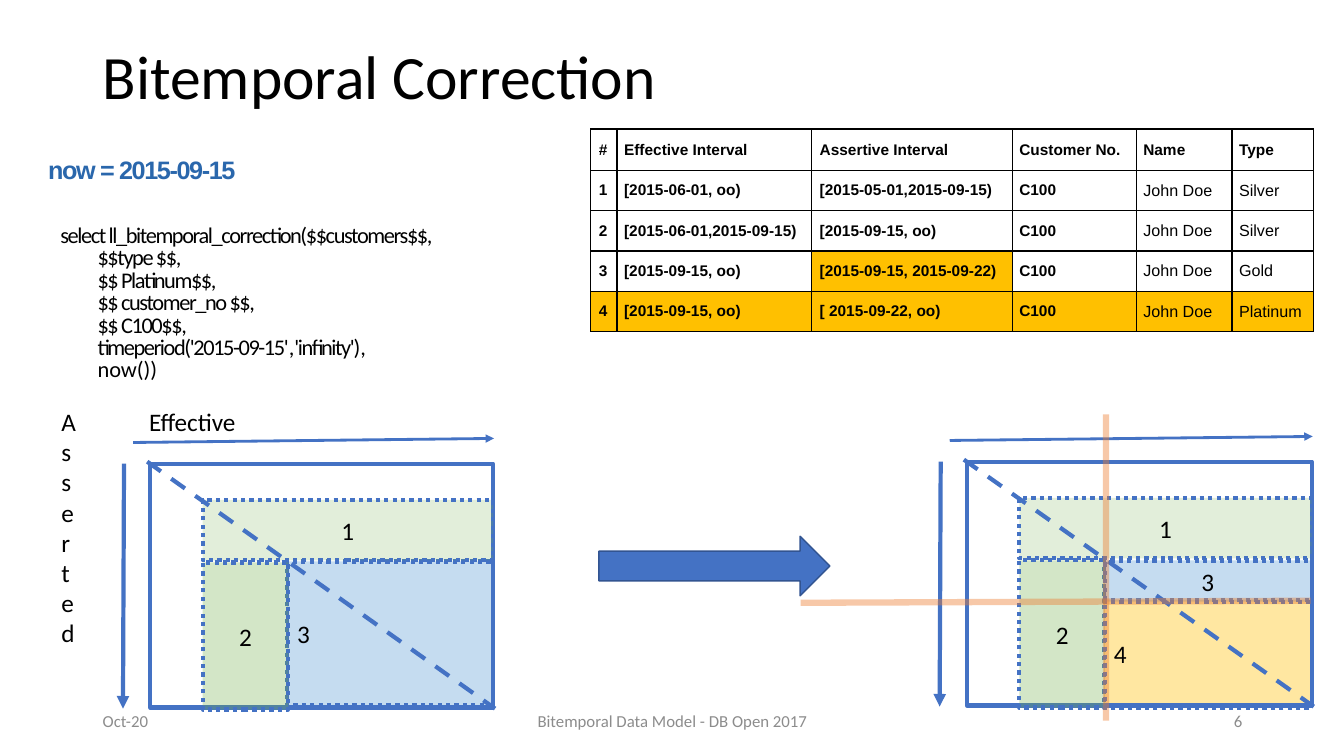
from dataclasses import dataclass
from typing import Optional

from lxml.etree import SubElement
from pptx import Presentation
from pptx.dml.color import RGBColor as Rgb
from pptx.enum.dml import MSO_LINE as Dash
from pptx.enum.shapes import MSO_CONNECTOR as Connector, MSO_SHAPE as Preset
from pptx.enum.text import MSO_ANCHOR as Anchor, MSO_AUTO_SIZE as AutoSize, PP_ALIGN as Align
from pptx.oxml.ns import qn
from pptx.util import Inches, Pt


@dataclass(frozen=True)
class Theme:
    body_font: str = "Calibri"
    table_font: str = "Arial"
    black: str = "000000"
    gray: str = "8C8C8C"
    heading_blue: str = "2A67AC"
    blue: str = "4472C4"
    dark_blue: str = "325491"
    light_blue: str = "5B9BD5"
    green: str = "70AD47"
    gold: str = "FFC000"
    orange: str = "ED7D31"
    title_size: float = 44
    label_size: float = 18
    code_size: float = 16
    footer_size: float = 12
    cell_bold_size: float = 11
    cell_plain_size: float = 11.5


THEME = Theme()


@dataclass(frozen=True)
class TextStyle:
    size: float = THEME.label_size
    color: str = THEME.black
    font: str = THEME.body_font
    bold: bool = False
    spacing: int = 0


@dataclass(frozen=True)
class Label:
    text: str
    box: tuple
    style: TextStyle = TextStyle()
    align: Align = Align.LEFT
    anchor: Anchor = Anchor.TOP
    grow: bool = True


@dataclass(frozen=True)
class Stroke:
    color: str = THEME.blue
    width: float = 3
    dash: Optional[Dash] = None
    arrow: bool = False
    opacity: int = 100


@dataclass(frozen=True)
class Region:
    """A numbered area, placed relative to the corner of its diagram."""
    text: str
    box: tuple
    color: str
    opacity: int
    align: Align = Align.CENTER


@dataclass(frozen=True)
class Diagram:
    left: float
    top: float
    width: float
    regions: tuple


FOOTER = TextStyle(THEME.footer_size, THEME.gray)
CODE = TextStyle(THEME.code_size, spacing=-100)
CODE_LOOSE = TextStyle(THEME.code_size)
CELL_BOLD = TextStyle(THEME.cell_bold_size, font=THEME.table_font, bold=True)
CELL_PLAIN = TextStyle(THEME.cell_plain_size, font=THEME.table_font)
NOW = TextStyle(THEME.label_size, THEME.heading_blue, THEME.table_font, True, -100)

LABELS = (
    Label("Effective", (1.38, 3.98, 1.26, 0.27)),
    Label("Oct-20", (0.92, 6.95, 3, 0.4), FOOTER, Align.LEFT, Anchor.MIDDLE, False),
    Label("Bitemporal Data Model - DB Open 2017", (4.42, 6.95, 4.5, 0.4),
          FOOTER, Align.CENTER, Anchor.MIDDLE, False),
    Label("6", (9.42, 6.95, 3, 0.4), FOOTER, Align.RIGHT, Anchor.MIDDLE, False),
)
CODE_LINES = (
    (("select ll_bitemporal_correction($$customers$$,", CODE),),
    (("$$type $$,", CODE),),
    (("$$ Platinum$$,", CODE),),
    (("$$ customer_no $$,", CODE),),
    (("$$ C100$$,", CODE),),
    (("timeperiod('2015-09-15'", CODE), (",", CODE_LOOSE), ("'infinity')", CODE), (",", CODE_LOOSE)),
    (("now())", CODE_LOOSE),),
)
COLUMN_WIDTHS = (0.26, 1.93, 1.99, 1.23, 0.95, 0.81)
COLUMN_INDENTS = (0.08, 0.07, 0.08, 0.07, 0.07, 0.07)
ROW_HEIGHTS = (0.41, 0.4, 0.4, 0.4, 0.4)
TABLE_ROWS = (
    ("#", "Effective Interval", "Assertive Interval", "Customer No.", "Name", "Type"),
    ("1", "[2015-06-01, oo)", "[2015-05-01,2015-09-15)", "C100", "John Doe", "Silver"),
    ("2", "[2015-06-01,2015-09-15)", "[2015-09-15, oo)", "C100", "John Doe", "Silver"),
    ("3", "[2015-09-15, oo)", "[2015-09-15, 2015-09-22)", "C100", "John Doe", "Gold"),
    ("4", "[2015-09-15, oo)", "[ 2015-09-22, oo)", "C100", "John Doe", "Platinum"),
)
BEFORE = Diagram(1.49, 4.6, 3.4, (
    Region("3", (1.36, 0.97, 2.04, 1.43), THEME.light_blue, 35, Align.LEFT),))
AFTER = Diagram(9.59, 4.58, 3.42, (
    Region("4", (1.36, 1.37, 2.06, 1.07), THEME.gold, 37, Align.LEFT),
    Region("3", (1.36, 0.98, 2.06, 0.41), THEME.light_blue, 35)))


def set_opacity(fill_element, percent: int) -> None:
    color = fill_element.find(".//" + qn("a:srgbClr"))
    SubElement(color, qn("a:alpha")).set("val", str(percent * 1000))


def add_run(paragraph, text: str, style: TextStyle) -> None:
    run = paragraph.add_run()
    run.text = text
    run.font.size, run.font.name, run.font.bold = Pt(style.size), style.font, style.bold
    run.font.color.rgb = Rgb.from_string(style.color)
    if style.spacing:
        run.font._element.set("spc", str(style.spacing))


def set_indent(paragraph, left: float, first: float = 0) -> None:
    properties = paragraph._p.get_or_add_pPr()
    properties.set("marL", str(Inches(left)))
    properties.set("indent", str(Inches(first)))


def add_label(shapes, label: Label):
    frame = shapes.add_textbox(*map(Inches, label.box)).text_frame
    frame.word_wrap = True
    frame.vertical_anchor = label.anchor
    frame.auto_size = AutoSize.SHAPE_TO_FIT_TEXT if label.grow else AutoSize.NONE
    paragraph = frame.paragraphs[0]
    paragraph.alignment = label.align
    if label.text:
        add_run(paragraph, label.text, label.style)
    return frame


def apply_stroke(line, stroke: Stroke) -> None:
    line.color.rgb = Rgb.from_string(stroke.color)
    line.width = Pt(stroke.width)
    if stroke.dash:
        line.dash_style = stroke.dash
    properties = line._get_or_add_ln()
    if stroke.opacity < 100:
        set_opacity(properties, stroke.opacity)
    if stroke.arrow:
        SubElement(properties, qn("a:tailEnd")).set("type", "triangle")


def add_line(shapes, start: tuple, end: tuple, stroke: Stroke) -> None:
    connector = shapes.add_connector(Connector.STRAIGHT, *map(Inches, start + end))
    apply_stroke(connector.line, stroke)
    SubElement(connector._element.spPr, qn("a:effectLst"))


def add_box(shapes, preset: Preset, box: tuple, stroke: Stroke,
            color: Optional[str] = None, opacity: int = 100):
    shape = shapes.add_shape(preset, *map(Inches, box))
    shape.shadow.inherit = False
    if color:
        shape.fill.solid()
        shape.fill.fore_color.rgb = Rgb.from_string(color)
        if opacity < 100:
            set_opacity(shape._element.spPr.find(qn("a:solidFill")), opacity)
    else:
        shape.fill.background()
    apply_stroke(shape.line, stroke)
    return shape


def add_region(shapes, diagram: Diagram, region: Region) -> None:
    x, y, width, height = region.box
    shape = add_box(shapes, Preset.RECTANGLE, (diagram.left + x, diagram.top + y, width, height),
                    Stroke(dash=Dash.ROUND_DOT), region.color, region.opacity)
    shape.text_frame.vertical_anchor = Anchor.MIDDLE
    paragraph = shape.text_frame.paragraphs[0]
    paragraph.alignment = region.align
    add_run(paragraph, region.text, TextStyle())


def add_diagram(slide, diagram: Diagram) -> None:
    shapes = slide.shapes.add_group_shape().shapes
    left, top, width = diagram.left, diagram.top, diagram.width
    for region in diagram.regions:
        add_region(shapes, diagram, region)
    add_box(shapes, Preset.RECTANGLE, (left, top, width, 2.42), Stroke())
    add_region(shapes, diagram, Region("1", (0.52, 0.36, width - 0.52, 0.6), THEME.green, 20))
    add_region(shapes, diagram, Region("2", (0.52, 0.98, 0.85, 1.46), THEME.green, 30))
    # Effective axis, diagonal, asserted axis
    add_line(shapes, (left - 0.17, top - 0.21), (left + width + 0.01, top - 0.25),
             Stroke(width=2, arrow=True))
    add_line(shapes, (left - 0.03, top - 0.02), (left + width + 0.02, top + 2.43),
             Stroke(dash=Dash.DASH))
    add_line(shapes, (left - 0.26, top), (left - 0.27, top + 2.43), Stroke(arrow=True))


def fill_cell(cell, text: str, style: TextStyle, indent: float, highlighted: bool) -> None:
    cell.margin_left = cell.margin_right = cell.margin_top = cell.margin_bottom = 0
    cell.vertical_anchor = Anchor.MIDDLE
    set_indent(cell.text_frame.paragraphs[0], indent)
    add_run(cell.text_frame.paragraphs[0], text, style)
    for side in ("a:lnL", "a:lnR", "a:lnT", "a:lnB"):
        border = SubElement(cell._tc.get_or_add_tcPr(), qn(side), w=str(Pt(1)))
        SubElement(SubElement(border, qn("a:solidFill")), qn("a:srgbClr")).set("val", THEME.black)
    if highlighted:
        cell.fill.solid()
        cell.fill.fore_color.rgb = Rgb.from_string(THEME.gold)
    else:
        cell.fill.background()


def add_history_table(slide) -> None:
    table = slide.shapes.add_table(len(ROW_HEIGHTS), len(COLUMN_WIDTHS),
                                   *map(Inches, (5.86, 1.28, 7.17, 2.01))).table
    table.first_row = table.horz_banding = False
    for column, width in zip(table.columns, COLUMN_WIDTHS):
        column.width = Inches(width)
    for row_index, (row, height) in enumerate(zip(table.rows, ROW_HEIGHTS)):
        row.height = Inches(height)
        for column_index, text in enumerate(TABLE_ROWS[row_index]):
            plain = row_index > 0 and column_index > 3
            highlighted = row_index == 4 or (row_index, column_index) == (3, 2)
            fill_cell(row.cells[column_index], text, CELL_PLAIN if plain else CELL_BOLD,
                      COLUMN_INDENTS[column_index], highlighted)


def add_code(slide) -> None:
    frame = add_label(slide.shapes, Label("", (0.36, 2.19, 5.2, 1.67)))
    for index, runs in enumerate(CODE_LINES):
        paragraph = frame.add_paragraph() if index else frame.paragraphs[0]
        paragraph.line_spacing = Pt(16)
        set_indent(paragraph, *((0.51, 0) if index else (0.15, -0.01)))
        for text, style in runs:
            add_run(paragraph, text, style)


def main() -> None:
    presentation = Presentation()
    presentation.slide_width, presentation.slide_height = Inches(13.33), Inches(7.5)
    slide = presentation.slides.add_slide(presentation.slide_layouts[6])
    shapes = slide.shapes

    # Title and table
    title = add_label(shapes, Label("Bitemporal Correction", (0.92, 0.22, 11.5, 1.13),
                                    TextStyle(THEME.title_size), anchor=Anchor.MIDDLE, grow=False))
    title.paragraphs[0].line_spacing = 0.9
    add_history_table(slide)

    # Diagrams before and after the correction
    asserted = add_label(shapes, Label("Asserted", (0.51, 3.98, 0.56, 3.24)))
    asserted._txBody.bodyPr.set("vert", "wordArtVert")
    add_diagram(slide, BEFORE)
    add_diagram(slide, AFTER)
    add_box(shapes, Preset.RIGHT_ARROW, (5.94, 5.32, 2.29, 0.59),
            Stroke(THEME.dark_blue, 1), THEME.blue)

    # Statement, axis label and footer
    now = add_label(shapes, Label("now = 2015-09-15", (0.36, 1.48, 2.59, 0.4), NOW))
    set_indent(now.paragraphs[0], 0.02 - 0.02, 0.02)
    add_code(slide)
    for label in LABELS:
        add_label(shapes, label)

    # Cross hairs at the correction time
    cross_hair = Stroke(THEME.orange, 4.5, opacity=42)
    add_line(shapes, (7.94, 5.98), (13, 5.96), cross_hair)
    add_line(shapes, (10.97, 4.11), (10.97, 7.15), cross_hair)

    presentation.save("out.pptx")


if __name__ == "__main__":
    main()
